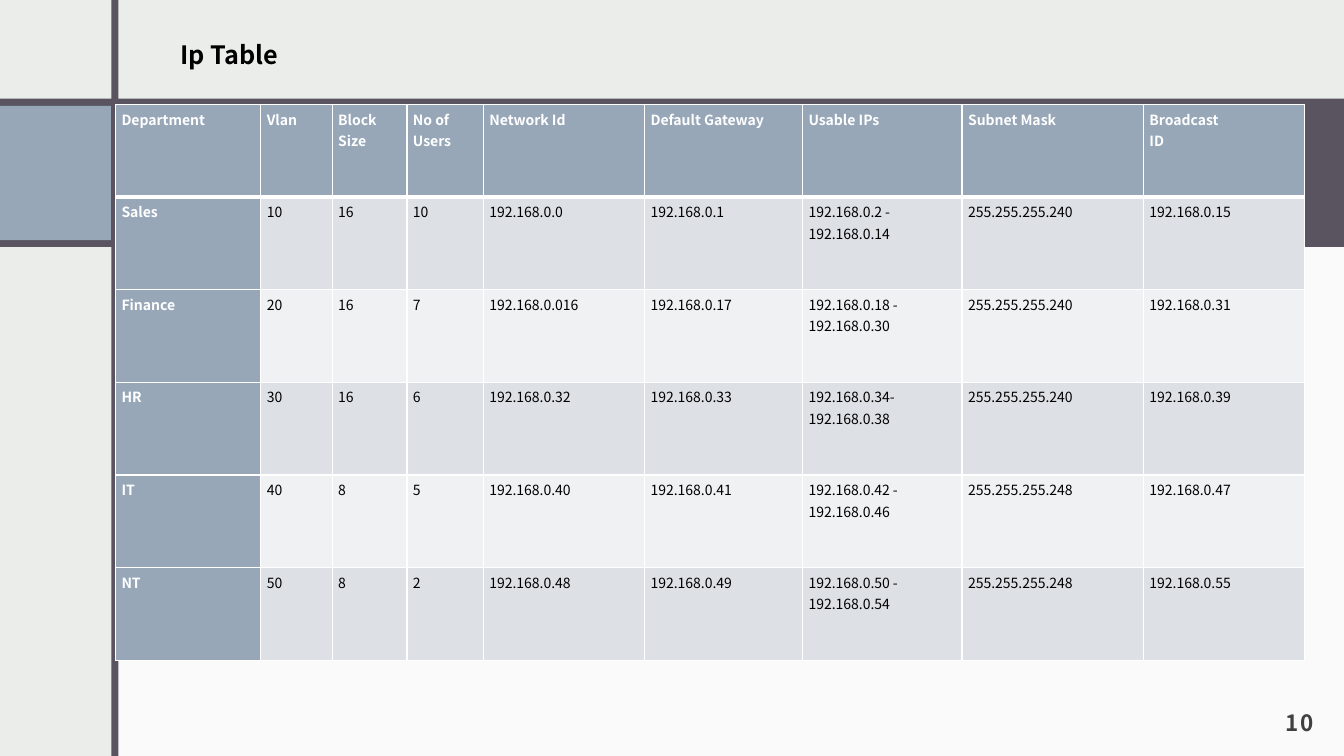
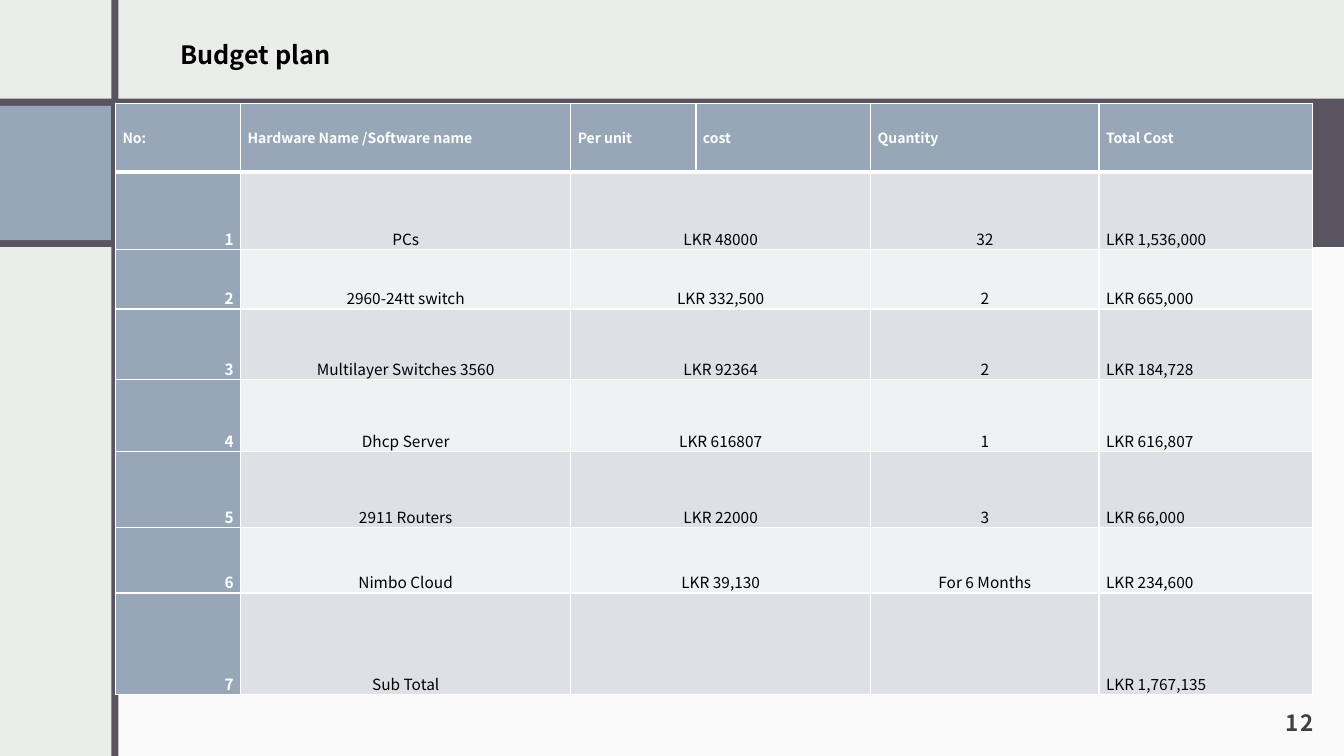
import pptx
import pptx.dml.color
import pptx.enum.shapes
import pptx.enum.text
import pptx.oxml
import pptx.oxml.ns
import pptx.util

COLORS = {
    "ground": "EBEDEB", "panel": "FAFAFA", "band": "595460", "accent": "97A7B8",
    "row_dark": "DDE1E6", "row_light": "EFF1F3", "text": "000000",
    "inverse": "FFFFFF", "page": "404040",
}
FONT = "Noto Sans CJK JP"
COLUMNS, ROWS = 160, 90
SIDES = ("margin_left", "margin_top", "margin_right", "margin_bottom")
ALIGN = pptx.enum.text.PP_ALIGN
ANCHOR = pptx.enum.text.MSO_ANCHOR
LEFT, CENTER, RIGHT = ALIGN.LEFT, ALIGN.CENTER, ALIGN.RIGHT


def color(name):
    return pptx.dml.color.RGBColor.from_string(COLORS[name])


def assign(target, values):
    for name, value in values.items():
        setattr(target, name, value)


def paint(fill, name):
    fill.solid()
    fill.fore_color.rgb = color(name)


class Deck:
    """Holds the shared style and the current slide; lengths are grid units."""

    def __init__(self):
        self.presentation = pptx.Presentation()
        assign(self.presentation, {"slide_width": pptx.util.Inches(13.33),
                                   "slide_height": pptx.util.Inches(7.5)})
        self.slide = None

    def across(self, columns):
        return round(self.presentation.slide_width * columns / COLUMNS)

    def down(self, rows):
        return round(self.presentation.slide_height * rows / ROWS)

    def place(self, left, top, width, height):
        return self.across(left), self.down(top), self.across(width), self.down(height)

    def new_slide(self, title, page):
        self.slide = self.presentation.slides.add_slide(self.presentation.slide_layouts[6])
        paint(self.slide.background.fill, "ground")
        self.block("panel", 13.7, 28, COLUMNS - 13.7, ROWS - 28)
        self.block("band", 0, 11.76, COLUMNS, 17.64)
        self.block("accent", 0, 12.6, 13.2, 16)
        self.block("band", 13.25, 0, 0.85, ROWS)
        self.label(title, (20.3, 4.1, 58, 4.8), 18)
        self.label(page, (145, 82.8, 12.8, 6), 16, "page", RIGHT, ANCHOR.BOTTOM,
                   margins=(0.12, 0.12, 0.12, 0.1), tracking=150)

    def block(self, fill, *box):
        block = self.slide.shapes.add_shape(
            pptx.enum.shapes.MSO_SHAPE.RECTANGLE, *self.place(*box))
        block.shadow.inherit = False
        paint(block.fill, fill)
        block.line.fill.background()

    def add_words(self, paragraph, words, size, ink, bold, align, spacing=None):
        assign(paragraph, {"alignment": align, "line_spacing": spacing})
        run = paragraph.add_run()
        run.text = words
        assign(run.font, {"name": FONT, "size": pptx.util.Pt(size), "bold": bold})
        run.font.color.rgb = color(ink)
        return run

    def label(self, words, box, size, ink="text", align=LEFT, anchor=ANCHOR.TOP,
              margins=(0.1, 0.05, 0.1, 0.05), tracking=0):
        frame = self.slide.shapes.add_textbox(*self.place(*box)).text_frame
        assign(frame, dict(zip(SIDES, map(pptx.util.Inches, margins))))
        assign(frame, {"word_wrap": True, "vertical_anchor": anchor})
        run = self.add_words(frame.paragraphs[0], words, size, ink, True, align)
        if tracking:
            run._r.get_or_add_rPr().set("spc", str(tracking))

    def borders(self, cell, row):
        """White rules, thicker between the header and the body."""
        properties = cell._tc.get_or_add_tcPr()
        points = {"lnL": 1, "lnR": 1, "lnT": 3 if row == 1 else 1, "lnB": 3 if row == 0 else 1}
        for side, width in points.items():
            properties.append(pptx.oxml.parse_xml(
                f'<a:{side} {pptx.oxml.ns.nsdecls("a")} w="{pptx.util.Pt(width)}">'
                f'<a:solidFill><a:srgbClr val="{COLORS["inverse"]}"/></a:solidFill>'
                f'</a:{side}>'))

    def table(self, corner, widths, heights, content, margins, aligns,
              anchors, sizes, spacing=None, merged=None):
        """Anchors and sizes are (header, body) pairs; merged is a pair of body columns."""
        box = self.place(*corner, sum(widths), sum(heights))
        grid = self.slide.shapes.add_table(len(heights), len(widths), *box).table
        for column, width in zip(grid.columns, widths):
            column.width = self.across(width)
        for row, height in zip(grid.rows, heights):
            row.height = self.down(height)
        layout = dict(zip(SIDES, map(pptx.util.Inches, margins)))
        for r, entries in enumerate(content):
            body = int(r > 0)
            for c, entry in enumerate(entries):
                cell = grid.cell(r, c)
                heading = not body or c == 0
                self.borders(cell, r)
                paint(cell.fill, "accent" if heading else "row_dark" if r % 2 else "row_light")
                assign(cell, {**layout, "vertical_anchor": anchors[body]})
                for i, words in enumerate(entry.split("\n") if entry else []):
                    frame = cell.text_frame
                    paragraph = frame.add_paragraph() if i else frame.paragraphs[0]
                    self.add_words(paragraph, words, sizes[body],
                                   "inverse" if heading else "text", heading,
                                   aligns[c] if body else LEFT, spacing)
            if body and merged:
                grid.cell(r, merged[0]).merge(grid.cell(r, merged[1]))


IP_TABLE = [
    ("Department", "Vlan", "Block Size", "No of Users", "Network Id", "Default Gateway",
     "Usable IPs", "Subnet Mask", "Broadcast\nID"),
    ("Sales", "10", "16", "10", "192.168.0.0", "192.168.0.1",
     "192.168.0.2 - 192.168.0.14", "255.255.255.240", "192.168.0.15"),
    ("Finance", "20", "16", "7", "192.168.0.016", "192.168.0.17",
     "192.168.0.18 - 192.168.0.30", "255.255.255.240", "192.168.0.31"),
    ("HR", "30", "16", "6", "192.168.0.32", "192.168.0.33",
     "192.168.0.34- 192.168.0.38", "255.255.255.240", "192.168.0.39"),
    ("IT", "40", "8", "5", "192.168.0.40", "192.168.0.41",
     "192.168.0.42 - 192.168.0.46", "255.255.255.248", "192.168.0.47"),
    ("NT", "50", "8", "2", "192.168.0.48", "192.168.0.49",
     "192.168.0.50 - 192.168.0.54", "255.255.255.248", "192.168.0.55"),
]
BUDGET = [
    ("No:", "Hardware Name /Software name", "Per unit", "cost", "Quantity", "Total Cost"),
    ("1", "PCs", "LKR 48000", "", "32", "LKR 1,536,000"),
    ("2", "2960-24tt switch", "LKR 332,500", "", "2", "LKR 665,000"),
    ("3", "Multilayer Switches 3560", "LKR 92364", "", "2", "LKR 184,728"),
    ("4", "Dhcp Server", "LKR 616807", "", "1", "LKR 616,807"),
    ("5", "2911 Routers", "LKR 22000", "", "3", "LKR 66,000"),
    ("6", "Nimbo Cloud", "LKR 39,130", "", "For 6 Months", "LKR 234,600"),
    ("7", "Sub Total", "", "", "", "LKR 1,767,135"),
]


def main():
    deck = Deck()

    deck.new_slide("Ip Table", "10")
    deck.table((13.75, 12.45), (17.3, 8.5, 8.9, 9.1, 19.2, 18.8, 19, 21.6, 19.2),
               [11.03] * len(IP_TABLE), IP_TABLE, margins=(0.06, 0.03, 0.03, 0),
               aligns=[LEFT] * 9, anchors=(ANCHOR.TOP, ANCHOR.TOP), sizes=(10, 10),
               spacing=1.07)

    deck.new_slide("Budget plan", "12")
    deck.table((13.75, 12.3), (14.9, 39.3, 14.9, 20.8, 27.2, 25.4),
               (8.2, 9.2, 7.1, 8.4, 8.6, 9, 7.8, 12.1), BUDGET, margins=(0.07, 0, 0.07, 0),
               aligns=(RIGHT, CENTER, CENTER, CENTER, CENTER, LEFT),
               anchors=(ANCHOR.MIDDLE, ANCHOR.BOTTOM), sizes=(10, 11), merged=(2, 3))

    deck.presentation.save("out.pptx")


if __name__ == "__main__":
    main()
